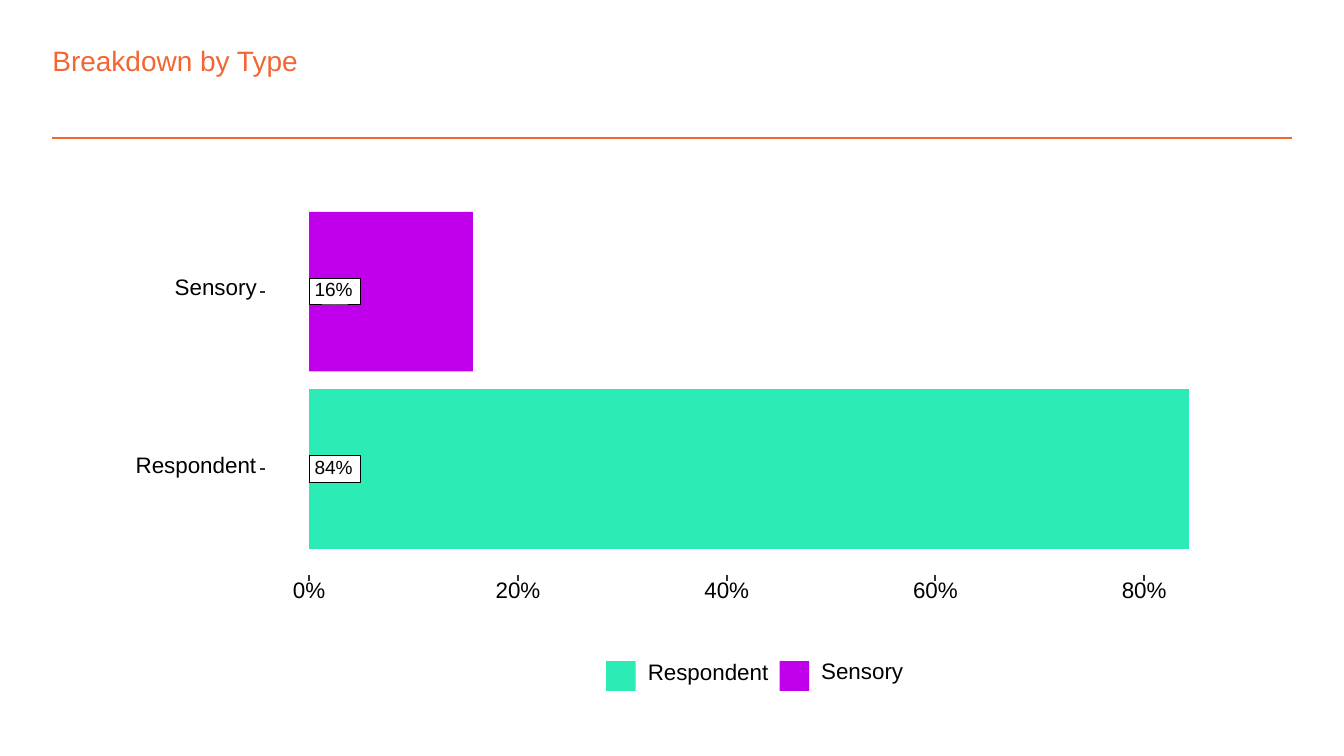
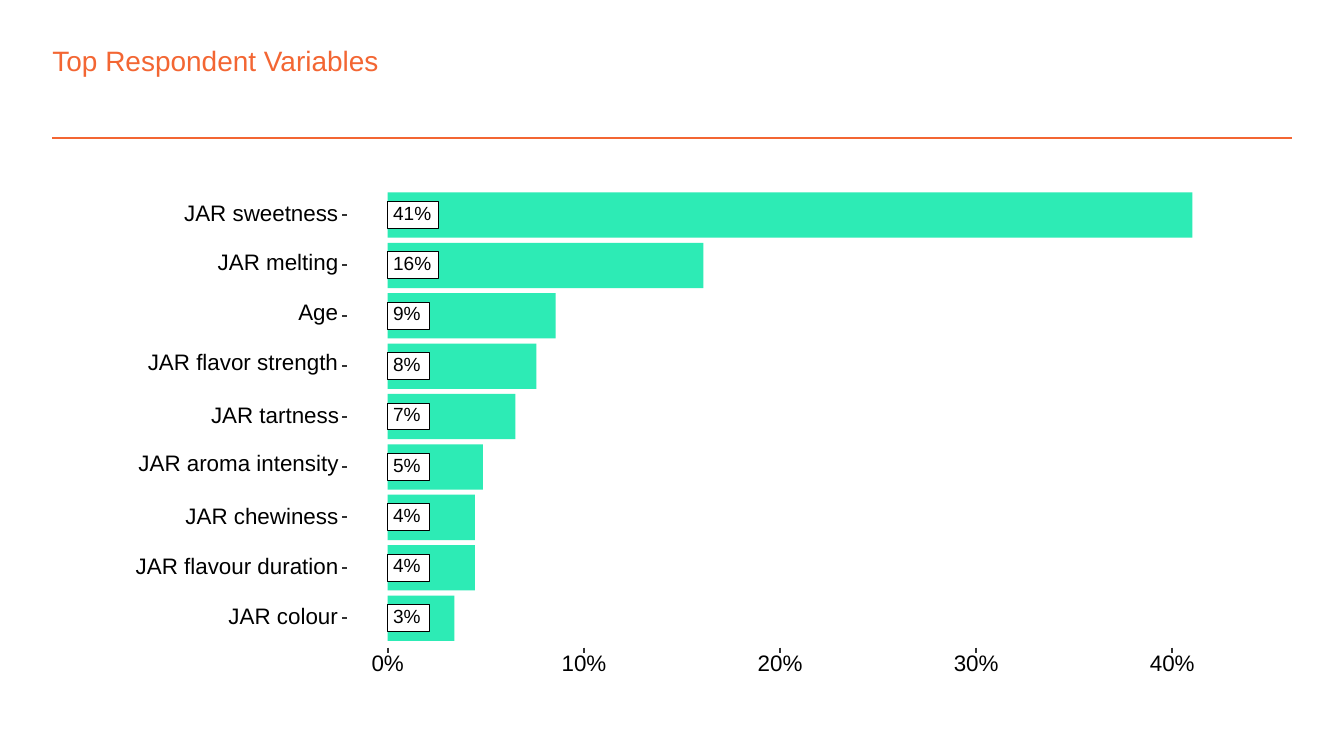
from dataclasses import dataclass

from lxml import etree
from pptx import Presentation
from pptx.dml.color import RGBColor
from pptx.enum.shapes import MSO_CONNECTOR, MSO_SHAPE
from pptx.enum.text import MSO_ANCHOR, MSO_AUTO_SIZE, PP_ALIGN
from pptx.oxml.ns import qn
from pptx.util import Inches, Pt

RECT = MSO_SHAPE.RECTANGLE
STRAIGHT = MSO_CONNECTOR.STRAIGHT
TOP, MIDDLE = MSO_ANCHOR.TOP, MSO_ANCHOR.MIDDLE
LEFT = PP_ALIGN.LEFT
NO_FIT, GROW = MSO_AUTO_SIZE.NONE, MSO_AUTO_SIZE.SHAPE_TO_FIT_TEXT

ORANGE = RGBColor(0xF3, 0x66, 0x33)
MINT = RGBColor(0x2D, 0xEB, 0xB5)
PURPLE = RGBColor(0xC0, 0x00, 0xEB)
WHITE = RGBColor(0xFF, 0xFF, 0xFF)
BLACK = RGBColor(0x00, 0x00, 0x00)
TICK_GREY = RGBColor(0x33, 0x33, 0x33)

FONT = "Arial"
TITLE_SIZE, AXIS_SIZE, VALUE_SIZE = 15, 12, 10.2
FRAME_LINE = 1.07
BAR_SHARE = 0.9   # bar thickness as a share of the row pitch
TICK = 0.04


@dataclass(frozen=True)
class Bar:
    name: str
    percent: float
    name_width: float
    name_height: float = 0.12
    colour: RGBColor = MINT


@dataclass(frozen=True)
class BarPlot:
    title: str
    bars: tuple[Bar, ...]
    zero_x: float       # left end of the bars
    first_y: float      # centre of the top bar
    pitch: float        # distance between bar centres
    names_right: float
    axis_y: float
    step: int           # percent between axis ticks
    step_width: float
    legend: bool = False


PLOTS = (
    BarPlot(
        "Breakdown by Type",
        (
            Bar("Sensory", 15.7, 0.61, 0.16, PURPLE),
            Bar("Respondent", 84.3, 0.9, 0.15),
        ),
        zero_x=2.3, first_y=2.17, pitch=1.32, names_right=1.91,
        axis_y=4.28, step=20, step_width=1.553, legend=True,
    ),
    BarPlot(
        "Top Respondent Variables",
        (
            Bar("JAR sweetness", 41.04, 1.15),
            Bar("JAR melting", 16.1, 0.9, 0.15),
            Bar("Age", 8.57, 0.3, 0.15),
            Bar("JAR flavor strength", 7.58, 1.42, 0.16),
            Bar("JAR tartness", 6.51, 0.95),
            Bar("JAR aroma intensity", 4.86, 1.49, 0.15),
            Bar("JAR chewiness", 4.45, 1.14),
            Bar("JAR flavour duration", 4.45, 1.51),
            Bar("JAR colour", 3.4, 0.82),
        ),
        zero_x=2.885, first_y=1.6, pitch=0.375, names_right=2.52,
        axis_y=4.82, step=10, step_width=1.459,
    ),
)


def write(tf, text: str, *, size: float, colour: RGBColor = BLACK,
          anchor=MIDDLE, wrap: bool = False, fit=NO_FIT, spacing=None) -> None:
    tf.margin_left = tf.margin_right = tf.margin_top = tf.margin_bottom = 0
    tf.word_wrap = wrap
    tf.auto_size = fit
    tf.vertical_anchor = anchor
    p = tf.paragraphs[0]
    p.alignment = LEFT
    if spacing:
        p.line_spacing = Pt(spacing)
    r = p.add_run()
    r.text = text
    r.font.name = FONT
    r.font.size = Pt(size)
    r.font.color.rgb = colour


def add_label(shapes, text: str, x: float, y: float, w: float, h: float,
              size: float = AXIS_SIZE) -> None:
    box = shapes.add_textbox(Inches(x), Inches(y), Inches(w), Inches(h))
    write(box.text_frame, text, size=size, spacing=size)


def add_rect(shapes, x: float, y: float, w: float, h: float, fill: RGBColor,
             line: RGBColor | None = None, weight: float = FRAME_LINE) -> None:
    sp = shapes.add_shape(RECT, Inches(x), Inches(y), Inches(w), Inches(h))
    sp.shadow.inherit = False
    sp.fill.solid()
    sp.fill.fore_color.rgb = fill
    if line is None:
        sp.line.fill.background()
    else:
        sp.line.color.rgb = line
        sp.line.width = Pt(weight)


def add_line(shapes, x1: float, y1: float, x2: float, y2: float,
             colour: RGBColor = TICK_GREY, weight: float = FRAME_LINE):
    line = shapes.add_connector(STRAIGHT, Inches(x1), Inches(y1), Inches(x2), Inches(y2))
    line.line.color.rgb = colour
    line.line.width = Pt(weight)
    etree.SubElement(line.element.spPr, qn("a:effectLst"))
    return line


def add_title(slide, text: str) -> None:
    title = slide.shapes.title
    title.left, title.top = Inches(0.39), Inches(0.32)
    title.width, title.height = Inches(8.29), Inches(0.25)
    write(title.text_frame, text, size=TITLE_SIZE, colour=ORANGE,
          anchor=TOP, wrap=True, fit=GROW)


def add_name(shapes, bar: Bar, x: float, baseline: float) -> None:
    add_label(shapes, bar.name, x, baseline - bar.name_height,
              bar.name_width, bar.name_height)


def add_legend(shapes, bars: tuple[Bar, ...]) -> None:
    add_rect(shapes, 4.35, 4.83, 2.45, 0.39, WHITE, WHITE)
    x = 4.5
    for bar in reversed(bars):
        add_rect(shapes, x, 4.91, 0.24, 0.24, WHITE, WHITE)
        add_rect(shapes, x + 0.01, 4.92, 0.22, 0.22, bar.colour)
        add_name(shapes, bar, x + 0.32, 5.09)
        x += bar.name_width + 0.39


def draw_plot(slide, plot: BarPlot) -> None:
    shapes = slide.shapes.add_group_shape().shapes
    add_rect(shapes, 0.75, 1.3, 8.5, 4, WHITE, WHITE)
    rows = [(bar, plot.first_y + i * plot.pitch) for i, bar in enumerate(plot.bars)]

    # Bars
    thick = BAR_SHARE * plot.pitch
    for bar, y in rows:
        width = bar.percent / plot.step * plot.step_width
        add_rect(shapes, plot.zero_x, y - thick / 2, width, thick, bar.colour)

    # Boxed values, row names and row ticks
    for bar, y in rows:
        value = f"{bar.percent:.0f}%"
        text_width = 0.07 * (len(value) + 1)
        add_rect(shapes, plot.zero_x, y - 0.1, text_width + 0.1, 0.2, WHITE, BLACK, 0.53)
        add_label(shapes, value, plot.zero_x + 0.04, y - 0.06, text_width, 0.11, VALUE_SIZE)
        add_name(shapes, bar, plot.names_right - bar.name_width, y + 0.06)
        tick_x = plot.names_right + 0.025
        add_line(shapes, tick_x, y, tick_x + TICK, y)

    # Percent axis
    for i in range(5):
        x = plot.zero_x + i * plot.step_width
        text = f"{i * plot.step}%"
        width = 0.06 + 0.09 * len(text)
        add_line(shapes, x, plot.axis_y, x, plot.axis_y + TICK)
        add_label(shapes, text, x - width / 2, plot.axis_y + 0.06, width, 0.13)

    if plot.legend:
        add_legend(shapes, plot.bars)


def main() -> None:
    prs = Presentation()
    prs.slide_width, prs.slide_height = Inches(10), Inches(5.625)
    layout = prs.slide_layouts.get_by_name("Title Only")

    for plot in PLOTS:
        slide = prs.slides.add_slide(layout)
        add_title(slide, plot.title)
        draw_plot(slide, plot)

    # The rule under the title belongs to the shared layout
    rule = add_line(prs.slides[0].shapes, 0.39, 1.03, 9.61, 1.03, ORANGE, 1)
    layout.shapes.element.append(rule.element)

    prs.save("out.pptx")


if __name__ == "__main__":
    main()
